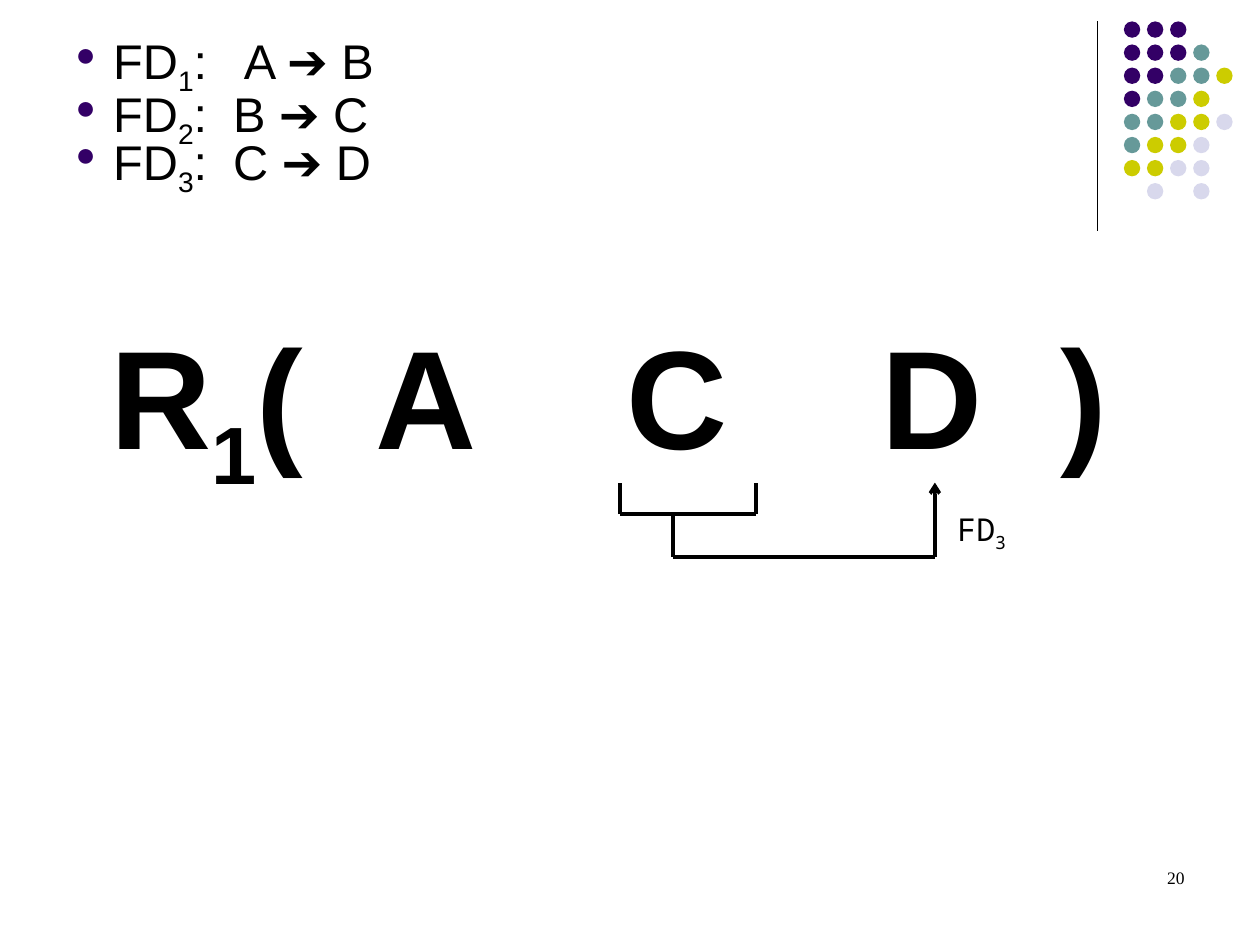
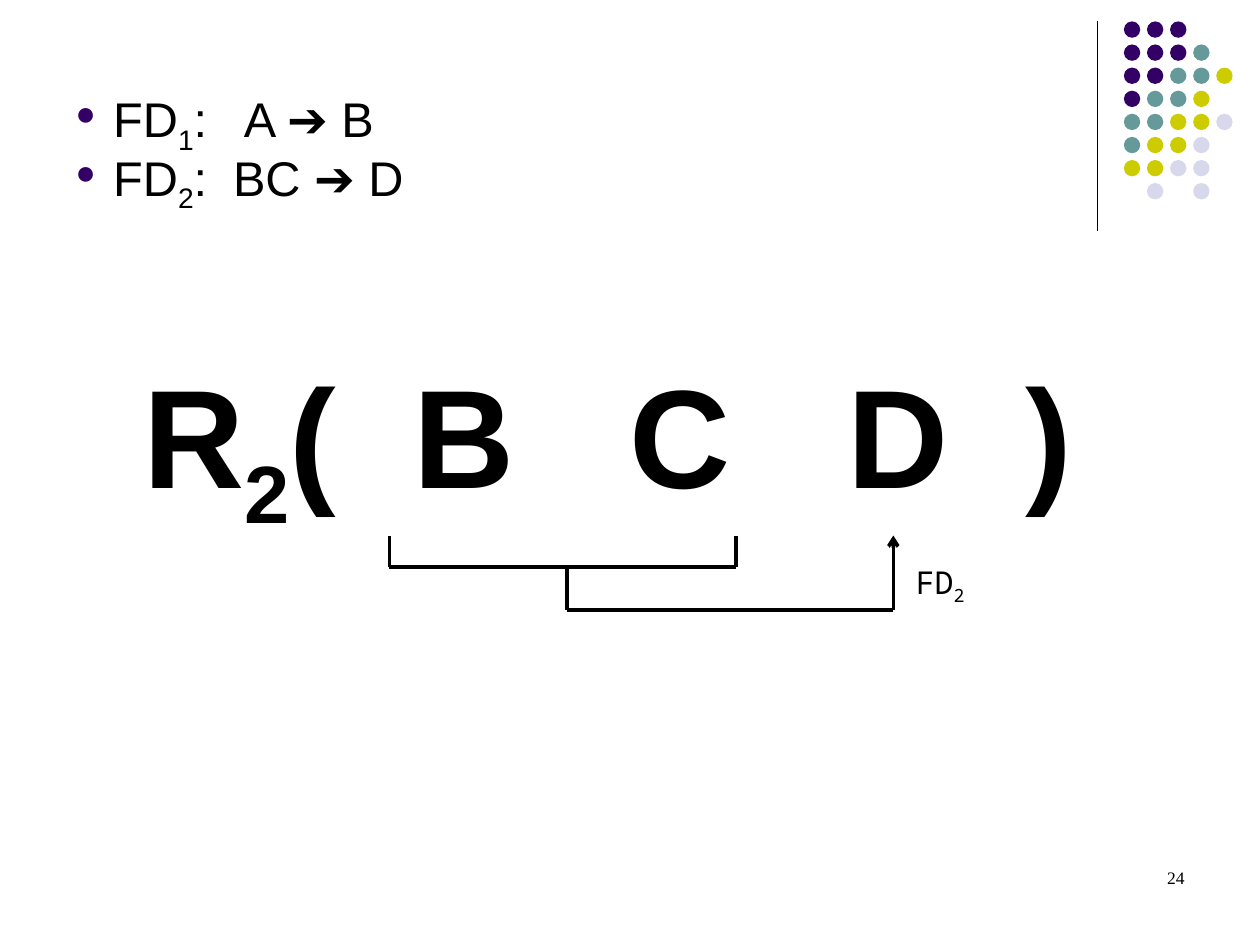
import pptx
import pptx.dml.color
import pptx.enum.shapes
import pptx.enum.text
import pptx.oxml
import pptx.oxml.ns
import pptx.util
from lxml import etree

Inches = pptx.util.Inches
Pt = pptx.util.Pt
qn = pptx.oxml.ns.qn


def rgb(value):
    return pptx.dml.color.RGBColor.from_string(value)


def add_xml(parent, tag, **attrs):
    return etree.SubElement(parent, qn(tag), {k: str(v) for k, v in attrs.items()})


class Deck:
    INK = "000000"
    BULLET = "330066"
    DOTS = {"P": "330066", "T": "669999", "Y": "CCCC00", "L": "D8D8EC"}
    DOT_ROWS = ["PPP", "PPPT", "PPTTY", "PTTY", "TTYYL", "TYYL", "YYLL", " L L"]
    DOT_PITCH = 0.55 / 3
    BODY_SIZE = 27.8
    SPACE_WIDTH = 0.278

    def __init__(self):
        self.prs = pptx.Presentation()
        self.prs.slide_width = Inches(10)
        self.prs.slide_height = Inches(7.5)
        self.slide = None

    def new_slide(self, number):
        self.slide = self.prs.slides.add_slide(self.prs.slide_layouts[6])
        self.line((8.71, 0.17), (8.71, 1.83), 0.75)
        for row, colours in enumerate(self.DOT_ROWS):
            for col, key in enumerate(colours):
                if key != " ":
                    self.dot(8.92 + col * self.DOT_PITCH, 0.17 + row * self.DOT_PITCH, self.DOTS[key])
        p = self.text_box(7.17, 6.83, 2.33, 0.5).paragraphs[0]
        p.alignment = pptx.enum.text.PP_ALIGN.RIGHT
        self.run(p, str(number), 10, "Times New Roman")

    def dot(self, left, top, colour):
        sp = self.slide.shapes.add_shape(
            pptx.enum.shapes.MSO_SHAPE.OVAL, Inches(left), Inches(top), Inches(0.13), Inches(0.13))
        sp.shadow.inherit = False
        sp.fill.solid()
        sp.fill.fore_color.rgb = rgb(colour)
        sp.line.fill.background()

    def line(self, start, end, width=2, arrow=False):
        x1, y1, x2, y2 = (Inches(v) for v in (*start, *end))
        cn = self.slide.shapes.add_connector(pptx.enum.shapes.MSO_CONNECTOR.STRAIGHT, x1, y1, x2, y2)
        cn.line.color.rgb = rgb(self.INK)
        cn.line.width = Pt(width)
        if arrow:
            add_xml(cn.line._get_or_add_ln(), "a:tailEnd", type="arrow")
        add_xml(cn._element.spPr, "a:effectLst")

    def text_box(self, left, top, width, height):
        tf = self.slide.shapes.add_textbox(
            Inches(left), Inches(top), Inches(width), Inches(height)).text_frame
        tf.word_wrap = True
        return tf

    def run(self, p, text, size, font="Arial", bold=False, subscript=False, spacing=0):
        r = p.add_run()
        r.text = text
        r.font.size = Pt(size)
        r.font.name = font
        r.font.bold = bold
        r.font.color.rgb = rgb(self.INK)
        if subscript:
            r.font._element.set("baseline", "-25000")
        if spacing:
            r.font._element.set("spc", str(round(spacing * 100)))

    def dependencies(self, top, line_spacing, items):
        tf = self.text_box(0.5, top, 9, 2.08)
        for i, (rule, gap, space_before) in enumerate(items):
            p = tf.add_paragraph() if i else tf.paragraphs[0]
            pPr = p._p.get_or_add_pPr()
            pPr.set("marL", str(Inches(0.3)))
            pPr.set("indent", str(-Inches(0.3)))
            add_xml(add_xml(pPr, "a:buClr"), "a:srgbClr", val=self.BULLET)
            add_xml(pPr, "a:buSzPct", val=70000)
            add_xml(pPr, "a:buFont", typeface="Arial")
            add_xml(pPr, "a:buChar", char="●")
            p.line_spacing = line_spacing
            p.space_before = Pt(space_before)
            size = self.BODY_SIZE
            self.run(p, "FD", size)
            self.run(p, str(i + 1), size, subscript=True)
            self.run(p, ":", size)
            self.run(p, " ", size, spacing=(gap - 1) * self.SPACE_WIDTH * size)
            self.run(p, rule, size)

    def relation(self, left, top, width, index, attributes, stops):
        tf = self.text_box(left, top, width, 1.62)
        tf.margin_right = 0
        p = tf.paragraphs[0]
        tabs = add_xml(p._p.get_or_add_pPr(), "a:tabLst")
        for stop in stops:
            add_xml(tabs, "a:tab", pos=Inches(stop), algn="l")
        self.run(p, "R", 80, bold=True)
        self.run(p, index, 80, bold=True, subscript=True)
        self.run(p, "\t".join(["(", *attributes, ")"]), 80, bold=True)

    def dependency_arrow(self, left, right, stem, target, top):
        base, low = top + 0.25, top + 0.59
        self.line((left, base), (right, base))
        for x in (left, right):
            self.line((x, base), (x, top))
        self.line((stem, low), (stem, base))
        self.line((stem, low), (target, low))
        self.line((target, low), (target, top), arrow=True)

    def arrow_label(self, left, top, index):
        p = self.text_box(left, top, 0.92, 0.44).paragraphs[0]
        self.run(p, "FD", 18, "Noto Sans Mono")
        self.run(p, index, 18, "Noto Sans Mono", subscript=True)


def main():
    deck = Deck()

    deck.new_slide(20)
    deck.dependencies(0.33, 0.6, [("A ➔ B", 2.7, 0), ("B ➔ C", 1.9, 7.5), ("C ➔ D", 1.9, 4.5)])
    deck.arrow_label(7.5, 4, "3")
    deck.relation(0.78, 2.41, 8.21, "1", "ACD", [2.1, 4.09, 6.12, 7.54])
    deck.dependency_arrow(4.92, 6, 5.34, 7.42, 3.83)

    deck.new_slide(24)
    deck.dependencies(0.75, 0.7, [("A ➔ B", 2.7, 0), ("BC ➔ D", 1.9, 7)])
    deck.arrow_label(7.17, 4.42, "2")
    deck.relation(1.04, 2.72, 7.6, "2", "BCD", [2.14, 3.86, 5.59, 7])
    deck.dependency_arrow(3.09, 5.84, 4.5, 7.09, 4.25)

    deck.prs.save("out.pptx")


if __name__ == "__main__":
    main()
